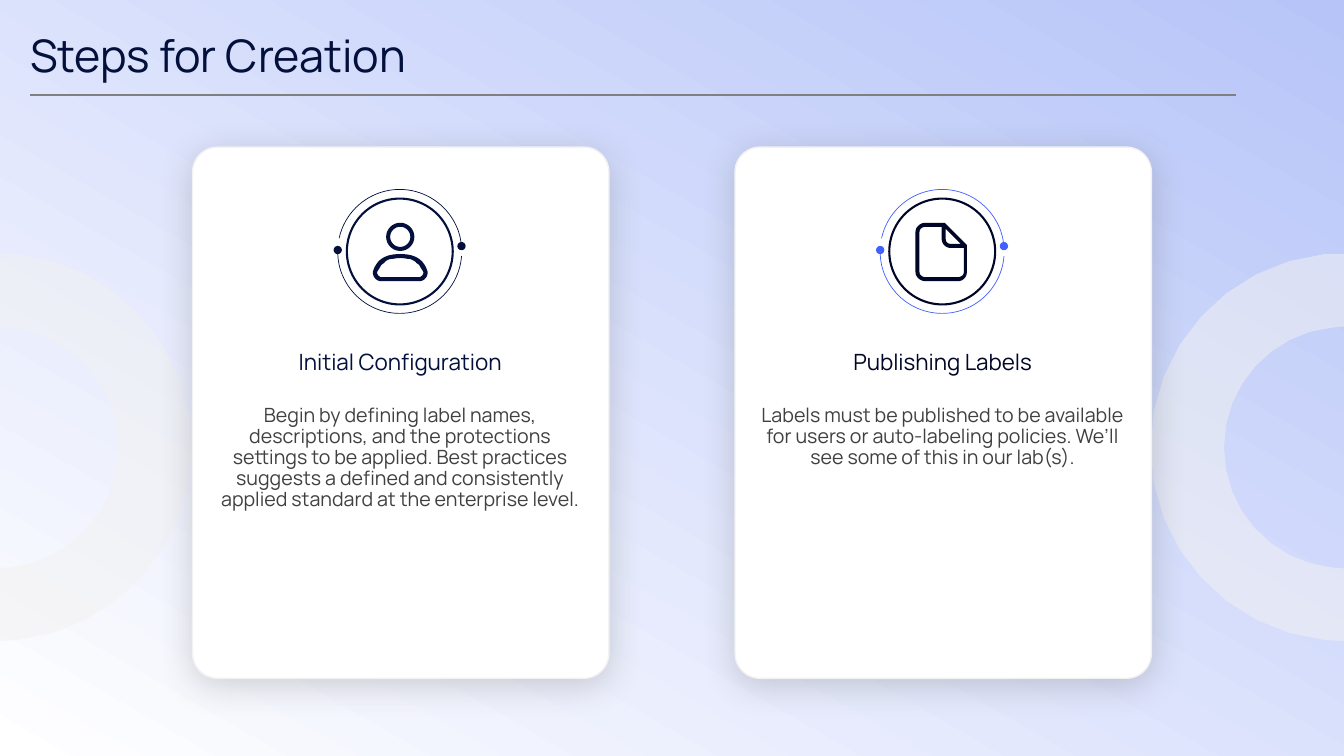
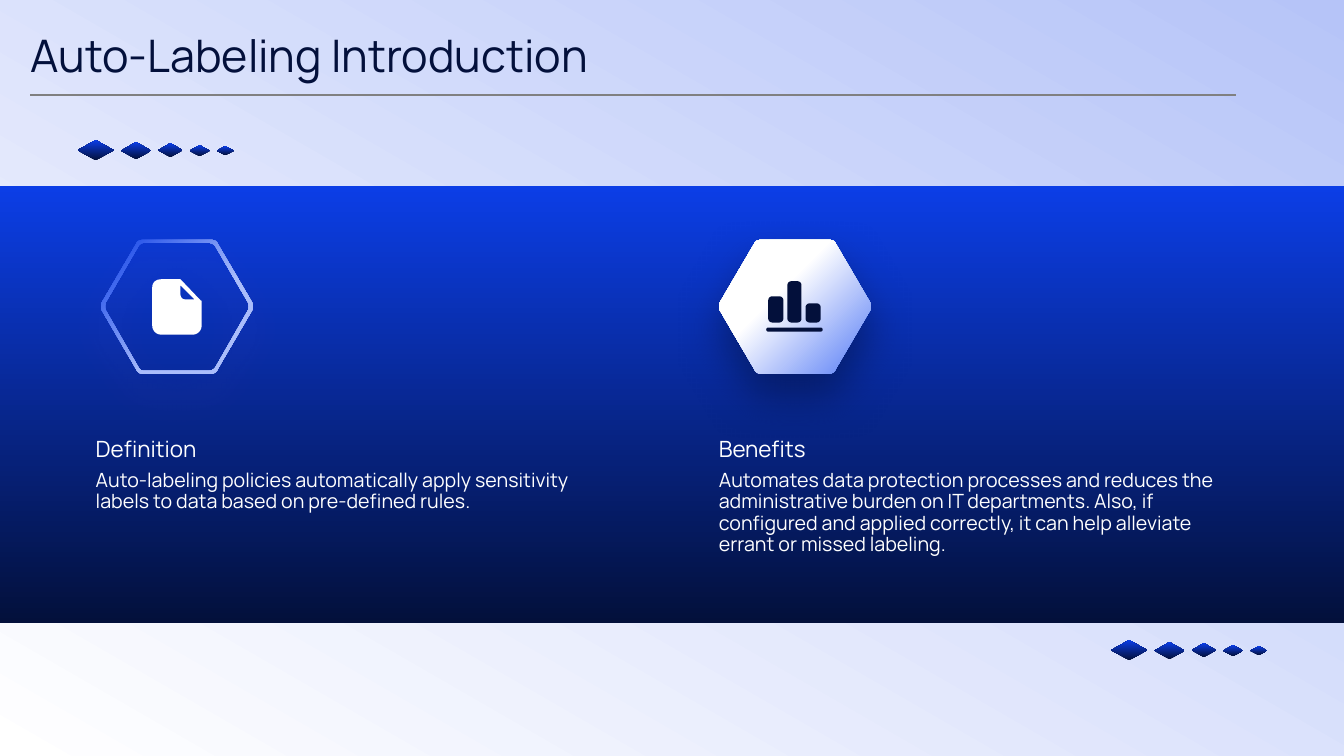
from lxml import etree
from pptx import Presentation, util as u
from pptx.dml.color import RGBColor
from pptx.enum import shapes, text
from pptx.oxml import ns

PX = 9144  # EMU per px, 100 px to the inch
SLIDE_W, SLIDE_H = 1333, 750
FONT = "Manrope"
C = {
    "sky": "B6C4F8", "white": "FFFFFF", "navy": "03103B", "ink": "000627",
    "royal": "0C3EE6", "accent": "4360FF", "ice": "AABDFB", "azure": "547AF6",
    "pale": "F2F2F2", "text": "404040", "rule": "808080", "violet": "D783FF",
}
KIND = shapes.MSO_SHAPE
MIDDLE, BOTTOM = text.MSO_ANCHOR.MIDDLE, text.MSO_ANCHOR.BOTTOM
CENTER = text.PP_ALIGN.CENTER


def pill(x, y, w, h, r):
    """Outline of a rectangle with corner radius r."""
    x2, y2, k = x + w, y + h, r * 0.45
    return (f"M {x + r} {y} L {x2 - r} {y} C {x2 - k} {y} {x2} {y + k} {x2} {y + r} "
            f"L {x2} {y2 - r} C {x2} {y2 - k} {x2 - k} {y2} {x2 - r} {y2} "
            f"L {x + r} {y2} C {x + k} {y2} {x} {y2 - k} {x} {y2 - r} "
            f"L {x} {y + r} C {x} {y + k} {x + k} {y} {x + r} {y} Z ")


RING_LEFT = (
    "M 0 0 L 17 0 C 114 10 190 92 190 192 C 190 291 114 373 17 383 L 0 384 L 0 311 "
    "L 10 311 C 70 305 117 254 117 192 C 117 130 70 79 10 73 L 0 72 Z")
RING_RIGHT = (
    "M 192 0 L 192 72 L 180 73 C 120 79 73 130 73 192 C 73 254 120 305 180 311 "
    "L 192 312 L 192 384 L 173 383 C 76 373 0 291 0 192 C 0 92 76 10 173 0 Z")
PERSON = pill(13, 0, 28, 28, 14) + pill(17, 4, 20, 20, 10) + (
    "M 27 31 C 9 31 3 39 0 48 C -1 53 3 58 8 58 L 46 58 C 51 58 55 53 54 48 "
    "C 51 39 45 31 27 31 Z "
    "M 27 35 C 31 35 34 36 37 36 C 39 37 42 38 43 40 C 45 41 46 42 47 44 "
    "C 48 46 49 47 50 49 C 50 51 49 52 49 52 C 48 53 47 54 46 54 L 8 54 "
    "C 7 54 6 53 5 52 C 5 52 4 51 4 49 C 5 47 6 46 7 44 C 8 42 9 41 11 40 "
    "C 12 38 14 37 17 36 C 20 36 23 35 27 35 Z")
PAGE = (
    "M 51 23 L 51 49 C 51 54 47 58 42 58 L 10 58 C 5 58 0 54 0 49 L 0 9 "
    "C 0 4 5 0 10 0 L 29 0 L 51 22 Z "
    "M 30 16 L 30 6 L 45 21 L 35 21 C 32 21 30 19 30 16 Z "
    "M 48 49 C 48 52 45 54 42 54 L 10 54 C 7 54 4 52 4 49 L 4 9 C 4 6 7 4 10 4 "
    "L 26 4 L 26 16 C 26 21 30 25 35 25 L 48 25 Z")
PAGE_SOLID = (
    "M 28 6 L 28 15 C 28 18 30 20 33 20 L 42 20 Z "
    "M 9 0 L 26 0 C 27 0 27 0 28 0 L 48 21 C 49 21 49 22 49 22 L 49 46 "
    "C 49 51 45 55 40 55 L 9 55 C 4 55 0 51 0 46 L 0 8 C 0 3 4 0 9 0 Z")
BARS = (pill(2, 15, 15, 26, 4) + pill(21, 0, 14, 41, 4)
        + pill(39, 22, 15, 19, 4) + pill(0, 46, 56, 4, 2))
HEXAGON = (
    "M 42 0 L 109 0 C 112 0 115 1 116 4 L 150 62 C 151 65 151 68 150 70 L 116 128 "
    "C 115 131 112 133 109 133 L 42 133 C 39 133 36 131 35 128 L 1 70 "
    "C 0 68 0 65 1 62 L 35 4 C 36 1 39 0 42 0 Z ")
HEXAGON_FRAME = HEXAGON + (
    "M 43 3 C 40 3 38 5 37 7 L 5 62 C 4 65 4 68 5 70 L 37 126 C 38 128 40 130 43 130 "
    "L 107 130 C 110 130 113 128 114 126 L 146 70 C 147 68 147 65 146 62 L 114 7 "
    "C 113 5 110 3 107 3 Z")


def rgb(name):
    return RGBColor.from_string(C[name])


def add_xml(parent, tag, **attrs):
    return etree.SubElement(parent, ns.qn(tag), {k: str(v) for k, v in attrs.items()})


def solid(sp, name, alpha=None):
    sp.fill.solid()
    sp.fill.fore_color.rgb = rgb(name)
    if alpha is not None:
        clr = sp.element.spPr.find(".//" + ns.qn("a:srgbClr"))
        add_xml(clr, "a:alpha", val=alpha * 1000)


def gradient(fill, first, last, angle):
    fill.gradient()
    fill.gradient_angle = angle
    for stop, name in zip(fill.gradient_stops, (first, last)):
        stop.color.rgb = rgb(name)
    for stop, position in zip(fill.gradient_stops, (0, 1)):
        stop.position = position


def radial(sp, first, last, corner):
    """Radial gradient spreading from a corner, given as (l, t, r, b) percent."""
    gradient(sp.fill, first, last, 0)
    sp.fill.gradient_stops[0].position = 0.39
    grad = sp.element.spPr.find(ns.qn("a:gradFill"))
    grad.remove(grad.find(ns.qn("a:lin")))
    focus = add_xml(grad, "a:path", path="circle")
    add_xml(focus, "a:fillToRect", **{k: v * 1000 for k, v in zip("ltrb", corner)})


def drop_shadow(sp, name, alpha, blur, dist):
    effects = sp.element.spPr.find(ns.qn("a:effectLst"))
    shadow = add_xml(effects, "a:outerShdw", blurRad=u.Pt(blur), dist=u.Pt(dist),
                     dir=5400000, algn="t", rotWithShape=0)
    add_xml(add_xml(shadow, "a:srgbClr", val=C[name]), "a:alpha", val=alpha * 1000)


def add_shape(s, kind, x, y, w, h, line=None, width=1):
    sp = s.shapes.add_shape(kind, x * PX, y * PX, w * PX, h * PX)
    sp.shadow.inherit = False
    if line:
        sp.line.color.rgb = rgb(line)
        sp.line.width = u.Pt(width)
    else:
        sp.line.fill.background()
    return sp


def contours(outline, steps=8):
    """Turn an M/L/C/Z outline into lists of points, sampling each curve."""
    for part in outline.split("Z"):
        pts, tokens = [], part.split()
        while tokens:
            count = 6 if tokens[0] == "C" else 2
            v = [float(t) for t in tokens[1:count + 1]]
            del tokens[:count + 1]
            if count == 2:
                pts.append(tuple(v))
                continue
            p = [pts[-1], *zip(v[::2], v[1::2])]
            for i in range(1, steps + 1):
                t = i / steps
                weights = ((1 - t) ** 3, 3 * t * (1 - t) ** 2, 3 * t * t * (1 - t), t ** 3)
                pts.append(tuple(sum(k * q[a] for k, q in zip(weights, p)) for a in (0, 1)))
        if pts:
            yield [(a * PX, b * PX) for a, b in pts]


def add_outline(s, x, y, outline):
    builder = None
    for pts in contours(outline):
        if builder is None:
            builder = s.shapes.build_freeform(*pts[0], scale=1.0)
        else:
            builder.move_to(*pts[0])
        builder.add_line_segments(pts[1:], close=True)
    sp = builder.convert_to_shape(x * PX, y * PX)
    sp.shadow.inherit = False
    sp.line.fill.background()
    return sp


def add_text(s, x, y, w, h, words, size, color, align=None, anchor=None, spacing=None):
    tf = s.shapes.add_textbox(x * PX, y * PX, w * PX, h * PX).text_frame
    tf.word_wrap = True
    tf.margin_left = tf.margin_right = tf.margin_top = tf.margin_bottom = 0
    tf.vertical_anchor = anchor or text.MSO_ANCHOR.TOP
    p = tf.paragraphs[0]
    p.text = words
    p.alignment = align
    p.line_spacing = spacing
    p.font.name, p.font.size = FONT, u.Pt(size)
    p.font.color.rgb = rgb(color)


def new_slide(prs):
    s = prs.slides.add_slide(prs.slide_layouts[6])
    gradient(s.background.fill, "sky", "white", 240)
    return s


def title(s, words):
    add_text(s, 30, 31, 1210, 47, words, 32, "navy", anchor=MIDDLE)
    rule = s.shapes.add_connector(shapes.MSO_CONNECTOR.STRAIGHT,
                                  30 * PX, 94 * PX, 1226 * PX, 94 * PX)
    rule.line.color.rgb = rgb("rule")
    rule.line.width = u.Pt(1.25)
    add_xml(rule.element.spPr, "a:effectLst")


def emblem(s, x, y, size, orbit, circle):
    """Circle inside two arcs that each end in a dot."""
    for angles in ((192.25, 355.07), (4.43, 181.29)):
        arc = add_shape(s, KIND.ARC, x, y, size, size, orbit, 0.5)
        arc.fill.background()
        for i, degrees in enumerate(angles):
            arc.adjustments[i] = degrees * 0.6
        add_xml(arc.element.spPr.find(ns.qn("a:ln")), "a:tailEnd", type="oval")
    inner = size - 18
    solid(add_shape(s, KIND.OVAL, x + 9, y + 9, inner, inner, circle, 1.5), "white")


def card(s, x, y, heading, body, icon, ink, orbit):
    sp = add_shape(s, KIND.ROUNDED_RECTANGLE, x, y, 413, 527, "pale")
    sp.adjustments[0] = 0.06
    solid(sp, "white")
    drop_shadow(sp, "text", 21, 25, 5)
    emblem(s, x + 144, y + 42, 123, orbit, ink)
    solid(add_outline(s, x + 179, y + 75, icon), ink)
    add_text(s, x + 21, y + 186, 370, 54, heading, 16, ink, CENTER, MIDDLE)
    add_text(s, x + 24, y + 256, 364, 259, body, 14, "text", CENTER, spacing=0.9)


def diamonds(s, x, cy):
    """Row of shrinking diamonds centred on cy."""
    for w, h in ((36, 20), (30, 17), (24, 14), (20, 11), (17, 9)):
        sp = add_shape(s, KIND.DIAMOND, x, cy - h // 2, w, h)
        gradient(sp.fill, "navy", "royal", 90)
        x += w + 7


def topic(s, x, y, heading, body):
    add_text(s, x, y, 524, 67, heading, 16, "white", anchor=BOTTOM)
    add_text(s, x, y + 76, 524, 103, body, 14, "white", spacing=0.9)


def steps_slide(prs):
    s = new_slide(prs)
    for x, ring in ((0, RING_LEFT), (SLIDE_W - 192, RING_RIGHT)):
        solid(add_outline(s, x, 252, ring), "pale", 50)
    card(s, 191, 146, "Initial Configuration",
         "Begin by defining label names, descriptions, and the protections settings to be "
         "applied. Best practices suggests a defined and consistently applied standard at "
         "the enterprise level.", PERSON, "navy", "navy")
    card(s, 729, 146, "Publishing Labels",
         "Labels must be published to be available for users or auto-labeling policies. "
         "We’ll see some of this in our lab(s).", PAGE, "ink", "accent")
    title(s, "Steps for Creation")


def labeling_slide(prs):
    s = new_slide(prs)
    band = add_shape(s, KIND.RECTANGLE, 0, 185, SLIDE_W, 433)
    gradient(band.fill, "navy", "royal", 90)
    diamonds(s, 77, 149)
    diamonds(s, 1102, 645)

    frame = add_outline(s, 100, 238, HEXAGON_FRAME)
    radial(frame, "ice", "royal", (100, 100, 0, 0))
    drop_shadow(frame, "violet", 20, 30, 16)
    solid(add_outline(s, 151, 277, PAGE_SOLID), "white")
    topic(s, 95, 391, "Definition",
          "Auto-labeling policies automatically apply sensitivity labels to data based on "
          "pre-defined rules.")

    badge = add_outline(s, 713, 238, HEXAGON)
    radial(badge, "white", "azure", (0, 0, 100, 100))
    drop_shadow(badge, "navy", 50, 30, 16)
    solid(add_outline(s, 760, 279, BARS), "navy")
    topic(s, 713, 391, "Benefits",
          "Automates data protection processes and reduces the administrative burden on IT "
          "departments. Also, if configured and applied correctly, it can help alleviate "
          "errant or missed labeling.")
    title(s, "Auto-Labeling Introduction")


def main():
    prs = Presentation()
    prs.slide_width, prs.slide_height = u.Emu(SLIDE_W * PX), u.Emu(SLIDE_H * PX)
    steps_slide(prs)
    labeling_slide(prs)
    prs.save("out.pptx")


if __name__ == "__main__":
    main()
